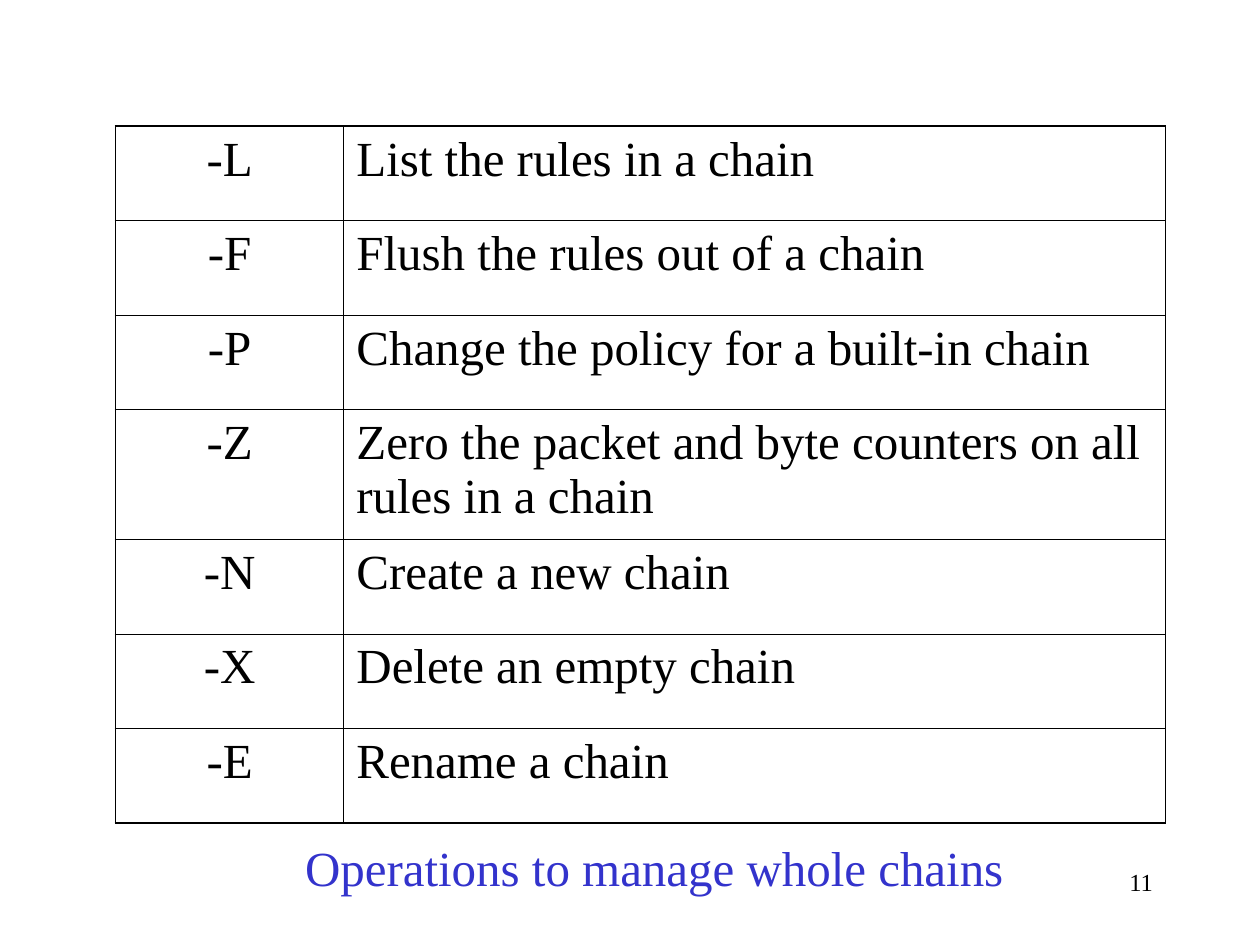
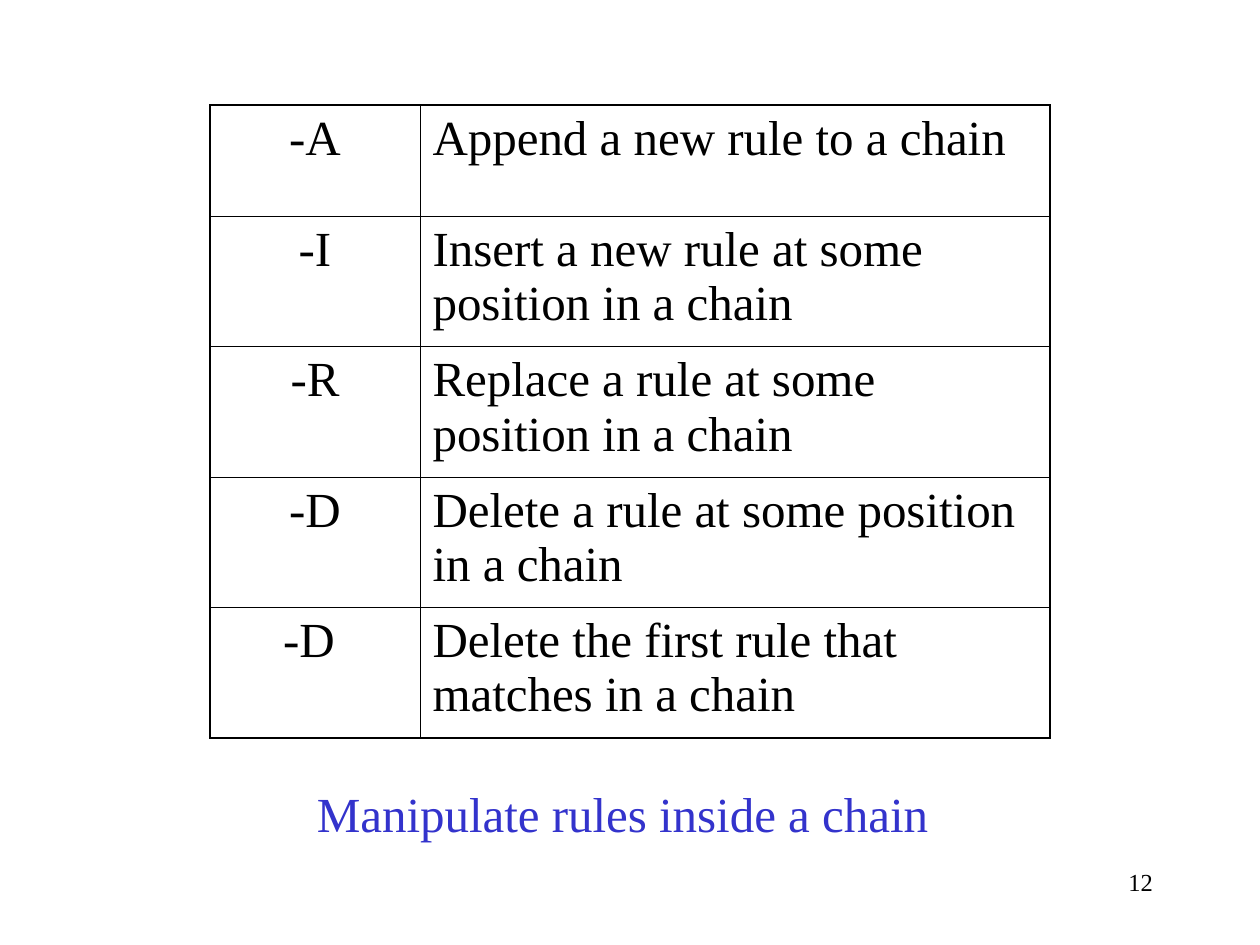
from lxml import etree
from pptx import Presentation
from pptx.dml.color import RGBColor
from pptx.enum.text import MSO_AUTO_SIZE, PP_ALIGN
from pptx.oxml.ns import qn
from pptx.util import Emu, Pt

LEFT, CENTER, RIGHT = PP_ALIGN.LEFT, PP_ALIGN.CENTER, PP_ALIGN.RIGHT
FIT_SHAPE, NO_FIT = MSO_AUTO_SIZE.SHAPE_TO_FIT_TEXT, MSO_AUTO_SIZE.NONE
BLANK_LAYOUT = 6

BLACK = RGBColor(0x00, 0x00, 0x00)
BLUE = RGBColor(0x33, 0x33, 0xCC)
WHITE = RGBColor(0xFF, 0xFF, 0xFF)

CELL_FONT = {"name": "Times New Roman", "size": Pt(28)}
CAPTION_FONT = {**CELL_FONT}
NUMBER_FONT = {**CELL_FONT, "size": Pt(14)}
OUTER, INNER = Pt(1.08), Pt(0.45)
NUMBER_BOX = (688, 656, 200, 48)

SLIDES = [
    {
        "number": "11",
        "table_at": (88, 96),
        "cols": [174, 626],
        "rows": [72, 72, 72, 99, 72, 72, 72],
        "options": [
            ("-L", "List the rules in a chain"),
            ("-F", "Flush the rules out of a chain"),
            ("-P", "Change the policy for a built-in chain"),
            ("-Z", "Zero the packet and byte counters on all rules in a chain"),
            ("-N", "Create a new chain"),
            ("-X", "Delete an empty chain"),
            ("-E", "Rename a chain"),
        ],
        "caption": "Operations to manage whole chains",
        "caption_box": (223, 633, 551, 55),
    },
    {
        "number": "12",
        "table_at": (160, 80),
        "cols": [160, 480],
        "rows": [85, 99, 99, 99, 99],
        "options": [
            ("-A", "Append a new rule to a chain"),
            ("-I", "Insert a new rule at some position in a chain"),
            ("-R", "Replace a rule at some position in a chain"),
            ("-D", "Delete a rule at some position in a chain"),
            ("-D ", "Delete the first rule that matches in a chain"),
        ],
        "caption": "Manipulate rules inside a chain",
        "caption_box": (232, 592, 485, 55),
    },
]


def px(n):
    return Emu(n * 9525)


def write(tf, text, font, color, align):
    p = tf.paragraphs[0]
    p.alignment = align
    r = p.add_run()
    r.text = text
    for name, value in font.items():
        setattr(r.font, name, value)
    r.font.color.rgb = color
    return p


def add_text(s, box, text, font, color, align, wrap, fit):
    tf = s.shapes.add_textbox(*map(px, box)).text_frame
    tf.word_wrap = wrap
    tf.auto_size = fit
    write(tf, text, font, color, align)


def set_borders(cell, widths):
    tcPr = cell._tc.get_or_add_tcPr()
    for tag, width in widths.items():
        ln = etree.SubElement(tcPr, qn(f"a:{tag}"), w=str(width))
        fill = etree.SubElement(ln, qn("a:solidFill"))
        etree.SubElement(fill, qn("a:srgbClr"), val=str(BLACK))


def add_option_table(s, at, cols, rows, options):
    size = (sum(cols), sum(rows))
    table = s.shapes.add_table(len(rows), len(cols), *map(px, at + size)).table
    table.first_row = table.horz_banding = False
    for column, width in zip(table.columns, cols):
        column.width = px(width)
    for i, (row, height, option) in enumerate(zip(table.rows, rows, options)):
        row.height = px(height)
        for j, (cell, text) in enumerate(zip(row.cells, option)):
            edges = {
                "lnL": j == 0,
                "lnR": j == len(cols) - 1,
                "lnT": i == 0,
                "lnB": i == len(rows) - 1,
            }
            set_borders(cell, {k: OUTER if v else INNER for k, v in edges.items()})
            cell.fill.background()
            align = CENTER if j == 0 else LEFT
            p = write(cell.text_frame, text, CELL_FONT, BLACK, align)
            p.space_before = Pt(7)


def add_option_slide(prs, content):
    s = prs.slides.add_slide(prs.slide_layouts[BLANK_LAYOUT])
    s.background.fill.solid()
    s.background.fill.fore_color.rgb = WHITE
    add_text(s, NUMBER_BOX, content["number"], NUMBER_FONT, BLACK, RIGHT, True, NO_FIT)
    add_option_table(s, content["table_at"], content["cols"], content["rows"],
                     content["options"])
    add_text(s, content["caption_box"], content["caption"], CAPTION_FONT, BLUE, LEFT,
             False, FIT_SHAPE)


def main():
    prs = Presentation()
    prs.slide_width, prs.slide_height = px(960), px(720)
    for content in SLIDES:
        add_option_slide(prs, content)
    prs.save("out.pptx")


if __name__ == "__main__":
    main()
